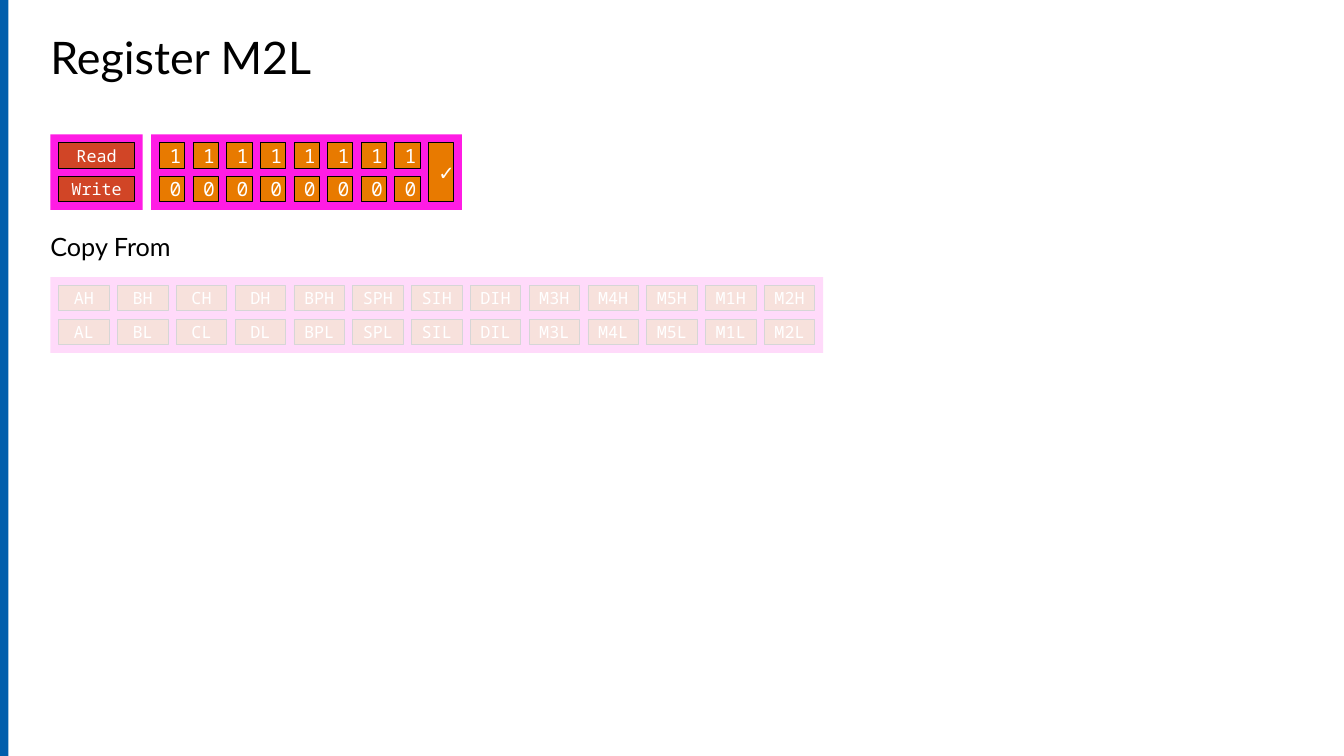
from dataclasses import dataclass

from lxml.etree import SubElement
from pptx import Presentation
from pptx.dml.color import RGBColor
from pptx.enum.shapes import MSO_SHAPE as Shape
from pptx.enum.text import MSO_ANCHOR as Anchor, MSO_AUTO_SIZE as AutoSize, PP_ALIGN as Align
from pptx.oxml.ns import qn
from pptx.util import Pt

EMU_PER_PX = 9525


def px(n):
    return n * EMU_PER_PX


@dataclass(frozen=True)
class Theme:
    accent: str = "005EAC"
    panel: str = "FF1CE4"
    bit: str = "E87A00"
    button: str = "D14526"
    light: str = "FFFFFF"
    dark: str = "000000"
    text_font: str = "Lato"
    key_font: str = "Noto Sans Mono"
    title_size: int = 32
    heading_size: int = 18
    bit_size: int = 14
    button_size: int = 12
    outline: float = 0.5


class Deck:
    def __init__(self, theme):
        self.theme = theme
        self.prs = Presentation()
        self.prs.slide_width, self.prs.slide_height = px(1280), px(720)
        self.s = self.prs.slides.add_slide(self.prs.slide_layouts[6])

    def fill_text(self, tf, text, size, font, color):
        """Set the only paragraph of a text frame and return it."""
        tf.text = text
        p = tf.paragraphs[0]
        f = p.runs[0].font
        f.size, f.name = Pt(size), font
        f.color.rgb = RGBColor.from_string(color)
        return p

    def rect(self, x, y, w, h, color, parent=None):
        shapes = (parent or self.s).shapes
        sp = shapes.add_shape(Shape.RECTANGLE, px(x), px(y), px(w), px(h))
        sp.shadow.inherit = False
        sp.fill.solid()
        sp.fill.fore_color.rgb = RGBColor.from_string(color)
        sp.line.fill.background()
        return sp

    def key(self, x, y, w, h, text, color, size, wrap, parent=None):
        """Outlined rectangle with a centred label."""
        t = self.theme
        sp = self.rect(x, y, w, h, color, parent)
        sp.line.color.rgb = RGBColor.from_string(t.dark)
        sp.line.width = Pt(t.outline)
        tf = sp.text_frame
        tf.word_wrap, tf.vertical_anchor = wrap, Anchor.MIDDLE
        self.fill_text(tf, text, size, t.key_font, t.light).alignment = Align.CENTER

    def bit(self, x, y, text, h=24):
        self.key(x, y, 24, h, text, self.theme.bit, self.theme.bit_size, True)

    def button(self, x, y, w, text, parent=None):
        self.key(x, y, w, 24, text, self.theme.button, self.theme.button_size, False, parent)

    def label(self, x, y, w, h, text, size):
        tf = self.s.shapes.add_textbox(px(x), px(y), px(w), px(h)).text_frame
        tf.word_wrap, tf.auto_size = True, AutoSize.SHAPE_TO_FIT_TEXT
        tf.margin_left = tf.margin_right = 0
        self.fill_text(tf, text, size, self.theme.text_font, self.theme.dark)

    def veil(self, x, y, w, h, opacity):
        """Translucent cover that dims what lies beneath; opacity in percent."""
        sp = self.rect(x, y, w, h, self.theme.light)
        color = sp.element.spPr.find(qn("a:solidFill"))[0]
        SubElement(color, qn("a:alpha"), val=str(opacity * 1000))


def main():
    theme = Theme()
    deck = Deck(theme)
    left, gap, row = 48, 8, 32
    register_top, copy_top = 128, 264
    bits_left = 144

    deck.rect(0, 0, 8, 720, theme.accent)
    deck.rect(left, copy_top, 736, 72, theme.panel)
    deck.rect(left, register_top, 88, 72, theme.panel)
    deck.rect(bits_left, register_top, 296, 72, theme.panel)

    first_key = register_top + gap
    for col in range(8):
        for i, digit in enumerate("10"):
            deck.bit(bits_left + gap + col * 32, first_key + i * row, digit)
    deck.bit(bits_left + gap + 8 * 32, first_key, "✓", 56)

    deck.label(left, 24, 576, 61, "Register M2L", theme.title_size)
    deck.label(left, 216, 360, 38, "Copy From", theme.heading_size)

    for i, action in enumerate(("Read", "Write")):
        deck.button(left + gap, first_key + i * row, 72, action)

    registers = "A B C D BP SP SI DI M3 M4 M5 M1 M2".split()
    sources = deck.s.shapes.add_group_shape()
    for col, register in enumerate(registers):
        for i, half in enumerate("HL"):
            deck.button(left + gap + col * 56, copy_top + gap + i * row, 48,
                        register + half, sources)

    deck.veil(40, 256, 752, 88, 84)
    deck.prs.save("out.pptx")


if __name__ == "__main__":
    main()
